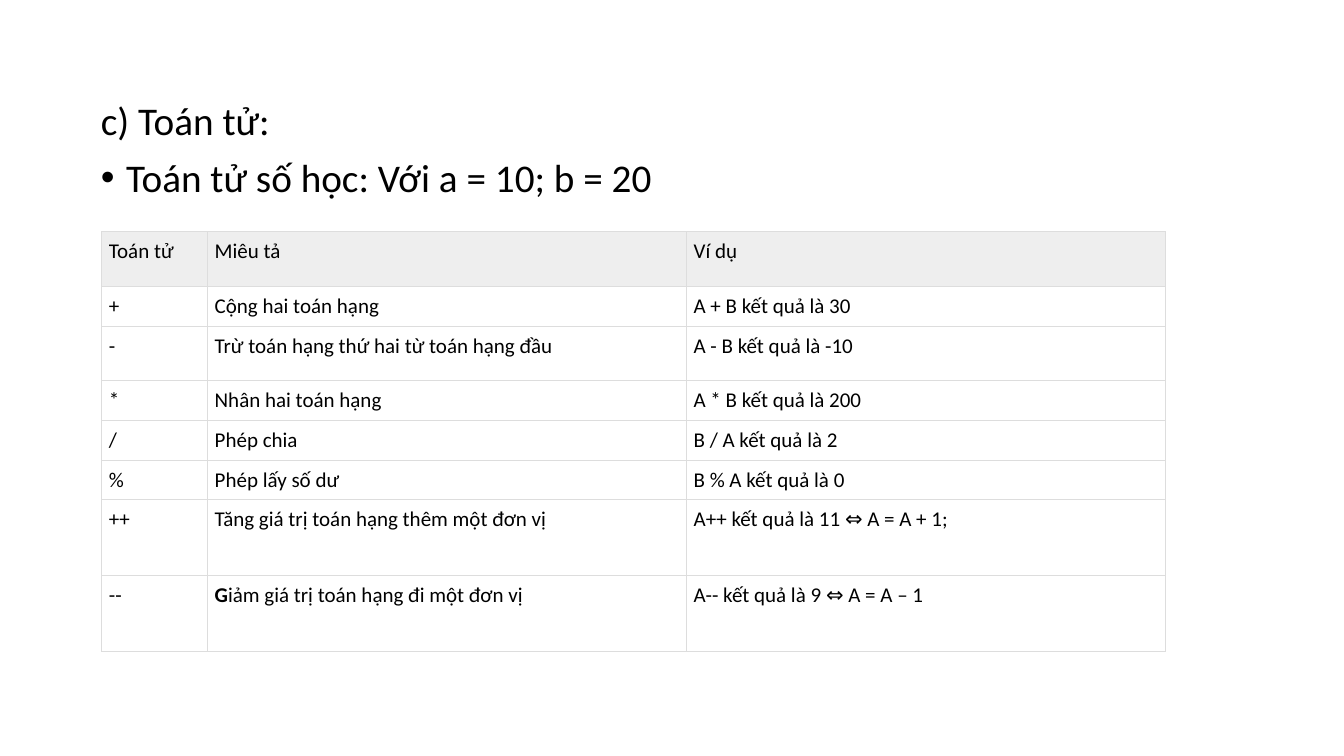
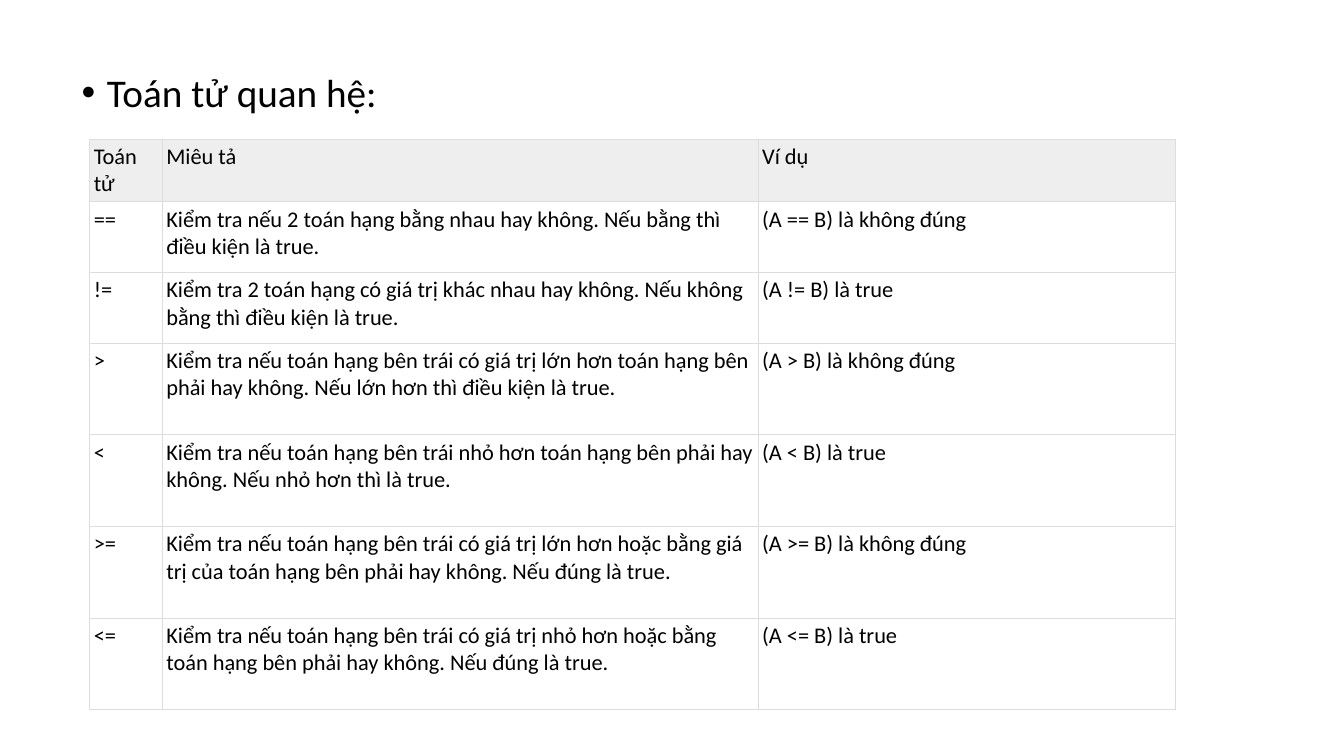
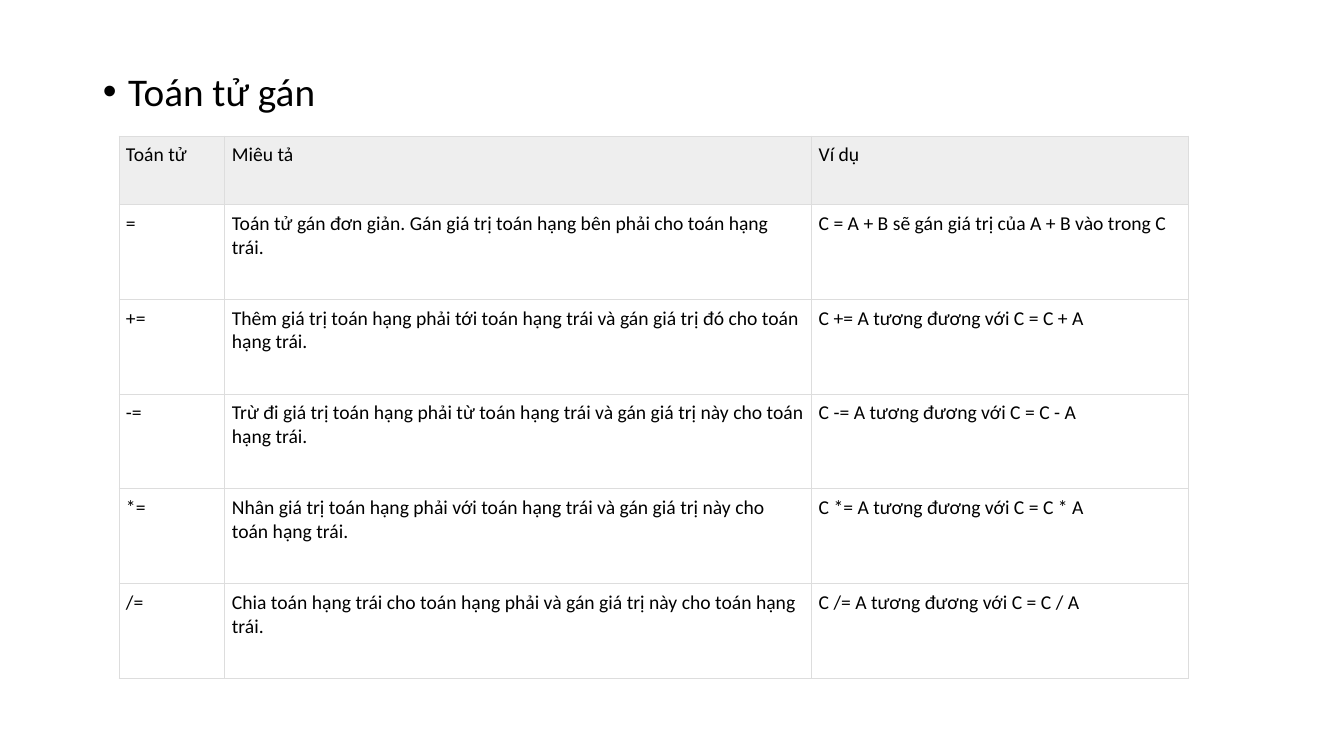
"""Build three slides on arithmetic, relational and assignment operators."""
import pptx
import pptx.dml.color
import pptx.enum.text
import pptx.oxml
import pptx.oxml.ns
import pptx.util

Inches = pptx.util.Inches
Pt = pptx.util.Pt

FONT = "Calibri"
TEXT = "000000"
HEADER_FILL = "EEEEEE"
BORDER = "DDDDDD"
HEADER = ("Toán tử", "Miêu tả", "Ví dụ")

ARITHMETIC = [
    ("+", "Cộng hai toán hạng", "A + B kết quả là 30"),
    ("-", "Trừ toán hạng thứ hai từ toán hạng đầu", "A - B kết quả là -10"),
    ("*", "Nhân hai toán hạng", "A * B kết quả là 200"),
    ("/", "Phép chia", "B / A kết quả là 2"),
    ("%", "Phép lấy số dư", "B % A kết quả là 0"),
    ("++", "Tăng giá trị toán hạng thêm một đơn vị", "A++ kết quả là 11 ⇔ A = A + 1;"),
    ("--", ("G", "iảm giá trị toán hạng đi một đơn vị"), "A-- kết quả là 9 ⇔ A = A – 1"),
]
RELATIONAL = [
    ("==", "Kiểm tra nếu 2 toán hạng bằng nhau hay không. Nếu bằng thì điều kiện là true.",
     "(A == B) là không đúng"),
    ("!=", "Kiểm tra 2 toán hạng có giá trị khác nhau hay không. "
     "Nếu không bằng thì điều kiện là true.", "(A != B) là true"),
    (">", "Kiểm tra nếu toán hạng bên trái có giá trị lớn hơn toán hạng bên phải hay không. "
     "Nếu lớn hơn thì điều kiện là true.", "(A > B) là không đúng"),
    ("<", "Kiểm tra nếu toán hạng bên trái nhỏ hơn toán hạng bên phải hay không. "
     "Nếu nhỏ hơn thì là true.", "(A < B) là true"),
    (">=", "Kiểm tra nếu toán hạng bên trái có giá trị lớn hơn hoặc bằng giá trị của "
     "toán hạng bên phải hay không. Nếu đúng là true.", "(A >= B) là không đúng"),
    ("<=", "Kiểm tra nếu toán hạng bên trái có giá trị nhỏ hơn hoặc bằng "
     "toán hạng bên phải hay không. Nếu đúng là true.", "(A <= B) là true"),
]
ASSIGNMENT = [
    ("=", "Toán tử gán đơn giản. Gán giá trị toán hạng bên phải cho toán hạng trái.",
     "C = A + B sẽ gán giá trị của A + B vào trong C"),
    ("+=", "Thêm giá trị toán hạng phải tới toán hạng trái và gán giá trị đó cho toán hạng trái.",
     "C += A tương đương với C = C + A"),
    ("-=", "Trừ đi giá trị toán hạng phải từ toán hạng trái và gán giá trị này cho toán hạng trái.",
     "C -= A tương đương với C = C - A"),
    ("*=", "Nhân giá trị toán hạng phải với toán hạng trái và gán giá trị này cho toán hạng trái.",
     "C *= A tương đương với C = C * A"),
    ("/=", "Chia toán hạng trái cho toán hạng phải và gán giá trị này cho toán hạng trái.",
     "C /= A tương đương với C = C / A"),
]


def rgb(value):
    """Turn a hex string into a colour."""
    return pptx.dml.color.RGBColor.from_string(value)


def add_text(p, text, size=28, bold=False, color=TEXT):
    """Add one formatted run to a paragraph."""
    r = p.add_run()
    r.text = text
    r.font.name = FONT
    r.font.size = Pt(size)
    r.font.bold = bold
    r.font.color.rgb = rgb(color)


def add_xml(parent, xml):
    """Append a DrawingML element to a parent element."""
    ns = pptx.oxml.ns.nsdecls("a")
    parent.append(pptx.oxml.parse_xml(xml.replace(">", f" {ns}>", 1)))


def set_bullet(p, bulleted):
    """Give a paragraph a hanging bullet, or none."""
    pPr = p._p.get_or_add_pPr()
    indent = Inches(0.25) if bulleted else 0
    pPr.set("marL", str(indent))
    pPr.set("indent", str(-indent))
    if bulleted:
        add_xml(pPr, '<a:buFont typeface="Arial"></a:buFont>')
        add_xml(pPr, '<a:buChar char="•"></a:buChar>')
    else:
        add_xml(pPr, "<a:buNone></a:buNone>")


def add_slide(prs, box, bullet, heading=None):
    """Add a slide whose body holds an optional heading and a bullet."""
    s = prs.slides.add_slide(prs.slide_layouts[1])
    title = s.shapes.title.element
    title.getparent().remove(title)
    sp = s.placeholders[1]
    sp.left, sp.top, sp.width, sp.height = map(Inches, box)
    tf = sp.text_frame
    tf.auto_size = pptx.enum.text.MSO_AUTO_SIZE.NONE
    lines = [(heading, False)] if heading else []
    for i, (text, bulleted) in enumerate(lines + [(bullet, True)]):
        p = tf.add_paragraph() if i else tf.paragraphs[0]
        p.line_spacing = 0.9
        p.space_before = Pt(10)
        set_bullet(p, bulleted)
        add_text(p, text)
    return s


def fill_cell(cell, content, size, inset, fill=None):
    """Write a cell with its insets, borders and fill; a pair has a bold lead."""
    cell.margin_left = cell.margin_right = Inches(inset)
    cell.margin_top = cell.margin_bottom = Inches(inset)
    p = cell.text_frame.paragraphs[0]
    lead, rest = content if isinstance(content, tuple) else ("", content)
    if lead:
        add_text(p, lead, size=size, bold=True)
    add_text(p, rest, size=size)
    tcPr = cell._tc.get_or_add_tcPr()
    for side in "LRTB":
        add_xml(tcPr, f'<a:ln{side} w="{Pt(0.75)}"><a:solidFill><a:srgbClr val="{BORDER}"/>'
                      f"</a:solidFill></a:ln{side}>")
    if fill:
        cell.fill.solid()
        cell.fill.fore_color.rgb = rgb(fill)
    else:
        cell.fill.background()


def add_operator_table(s, left, top, widths, heights, rows, size, inset):
    """Add a bordered table of operators under the shared header."""
    sp = s.shapes.add_table(len(heights), len(widths), Inches(left), Inches(top),
                            Inches(sum(widths)), Inches(sum(heights)))
    table = sp.table
    table.first_row = table.horz_banding = False
    for column, width in zip(table.columns, widths):
        column.width = Inches(width)
    for i, (height, row) in enumerate(zip(heights, [HEADER] + rows)):
        table.rows[i].height = Inches(height)
        for j, content in enumerate(row):
            fill_cell(table.cell(i, j), content, size, inset, None if i else HEADER_FILL)


def main():
    """Build and save the presentation."""
    prs = pptx.Presentation()
    prs.slide_width, prs.slide_height = Inches(13.33), Inches(7.5)

    s = add_slide(prs, (0.9, 0.96, 11.5, 5.88), "Toán tử số học: Với a = 10; b = 20",
                  heading="c) Toán tử:")
    add_operator_table(s, 1.01, 2.3, [1.05, 4.75, 4.75],
                       [0.54, 0.38, 0.54, 0.38, 0.38, 0.38, 0.75, 0.75],
                       ARITHMETIC, size=15, inset=0.07)

    s = add_slide(prs, (0.71, 0.68, 11.5, 6.51), "Toán tử quan hệ:")
    add_operator_table(s, 0.89, 1.38, [0.72, 5.91, 4.14],
                       [0.49] + [0.7] * 2 + [0.91] * 4,
                       RELATIONAL, size=16, inset=0.04)

    s = add_slide(prs, (0.92, 0.67, 11.5, 6.08), "Toán tử gán")
    add_operator_table(s, 1.18, 1.35, [1.05, 5.82, 3.74], [0.68] + [0.94] * 5,
                       ASSIGNMENT, size=14, inset=0.07)

    prs.save("out.pptx")


if __name__ == "__main__":
    main()
